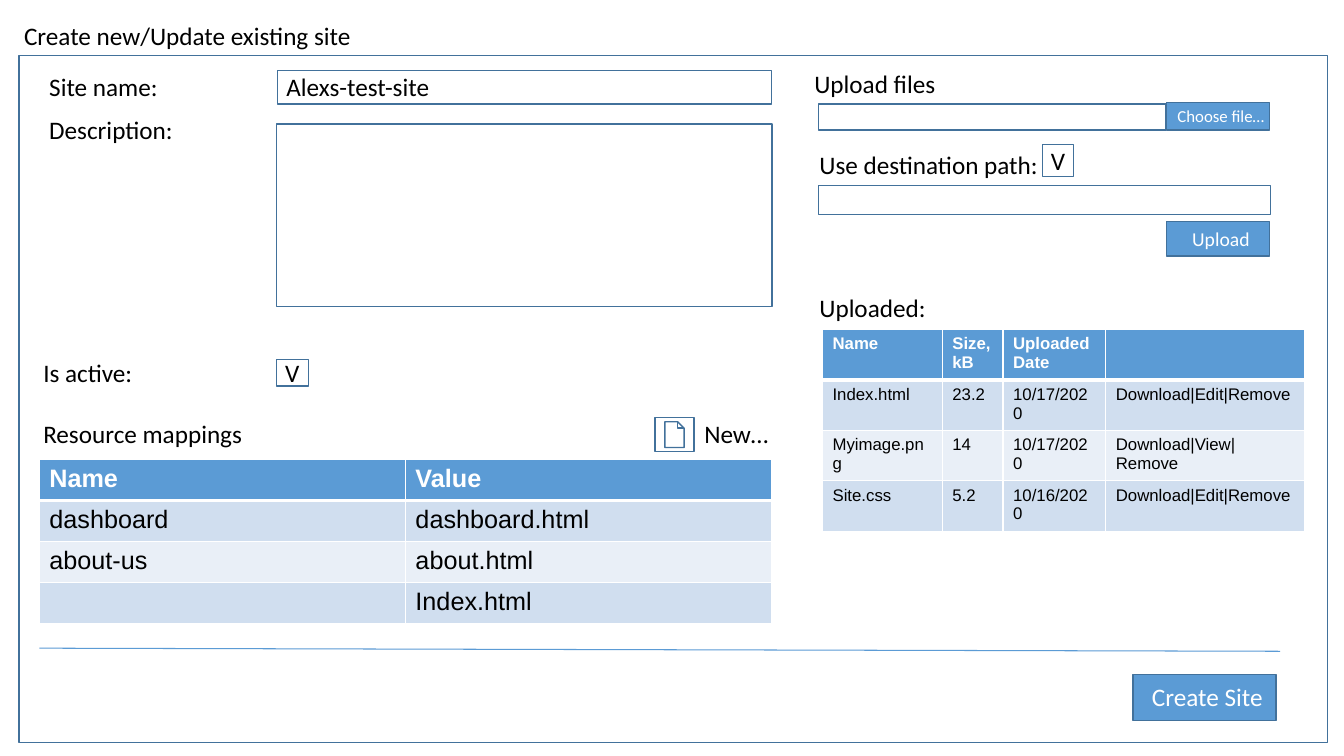
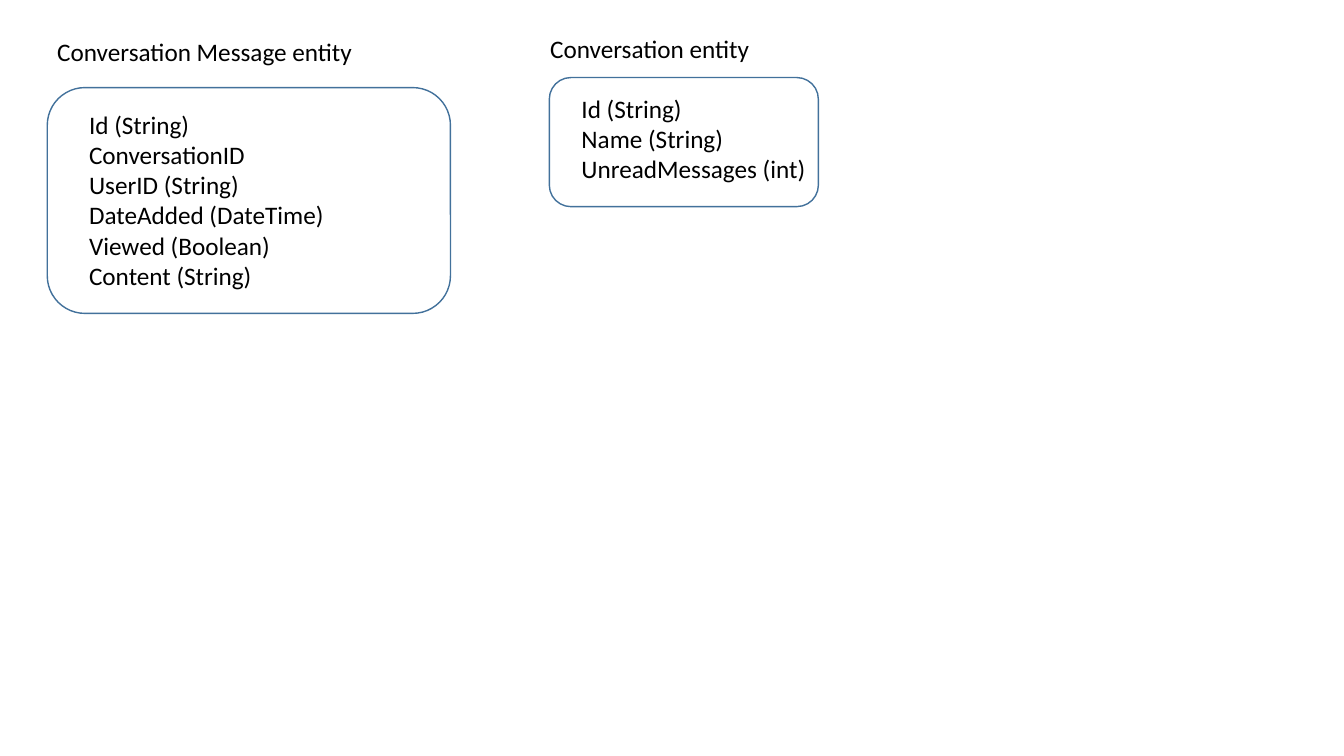
from pptx import Presentation
from pptx.dml.color import RGBColor
from pptx.enum.shapes import MSO_CONNECTOR, MSO_SHAPE
from pptx.enum.text import MSO_ANCHOR, PP_ALIGN
from pptx.util import Pt
from lxml.etree import SubElement
from pptx.oxml.ns import qn

ACCENT = "5B9BD5"
OUTLINE = "42719B"
BLACK = "000000"
WHITE = "FFFFFF"
BANDS = ("D0DEEF", "E9EFF7")
TITLE_ONLY, BLANK = 5, 6
LABEL_HEIGHT = 29


def color(hex_string):
    return RGBColor.from_string(hex_string)


def write(frame, text, size=18, font="Calibri", ink=BLACK, bold=False,
          align=PP_ALIGN.LEFT, anchor=MSO_ANCHOR.TOP, insets=(7.2, 3.6, 7.2, 3.6)):
    frame.word_wrap = True
    frame.vertical_anchor = anchor
    frame.margin_left, frame.margin_top, frame.margin_right, frame.margin_bottom = map(Pt, insets)
    for index, line in enumerate(text.split("\n")):
        paragraph = frame.add_paragraph() if index else frame.paragraphs[0]
        paragraph.alignment = align
        paragraph.font.size = Pt(size)
        run = paragraph.add_run()
        run.text = line
        run.font.size = Pt(size)
        run.font.name = font
        run.font.bold = bold
        run.font.color.rgb = color(ink)


def add_label(slide, left, top, width, text, **style):
    label = slide.shapes.add_textbox(Pt(left), Pt(top), Pt(width), Pt(LABEL_HEIGHT))
    write(label.text_frame, text, **style)


def add_box(slide, left, top, width, height, text="", fill=None,
            outline=MSO_SHAPE.RECTANGLE, **style):
    box = slide.shapes.add_shape(outline, Pt(left), Pt(top), Pt(width), Pt(height))
    box.shadow.inherit = False
    box.line.color.rgb = color(OUTLINE)
    box.line.width = Pt(1)
    if fill:
        box.fill.solid()
        box.fill.fore_color.rgb = color(fill)
    else:
        box.fill.background()
    if text:
        write(box.text_frame, text, anchor=MSO_ANCHOR.MIDDLE, **style)


def add_button(slide, left, top, width, height, text, size):
    add_box(slide, left, top, width, height, text, fill=ACCENT, size=size,
            ink=WHITE, align=PP_ALIGN.CENTER, insets=(4, 0, 0, 1))


def add_checkbox(slide, left, top, width, height):
    add_box(slide, left, top, width, height, "V", align=PP_ALIGN.CENTER, insets=(0, 0, 0, 0))


def underline_header(cell):
    properties = cell._tc.get_or_add_tcPr()
    border = SubElement(properties, qn("a:lnB"), w=str(Pt(3)))
    fill = SubElement(border, qn("a:solidFill"))
    SubElement(fill, qn("a:srgbClr"), val=WHITE)


def add_grid(slide, left, top, widths, row_height, rows, size):
    grid = slide.shapes.add_table(len(rows), len(widths), Pt(left), Pt(top),
                                  Pt(sum(widths)), Pt(row_height * len(rows))).table
    for column, width in zip(grid.columns, widths):
        column.width = Pt(width)
    for row_index, row in enumerate(rows):
        grid.rows[row_index].height = Pt(row_height)
        header = row_index == 0
        for column_index, text in enumerate(row):
            cell = grid.cell(row_index, column_index)
            if header:
                underline_header(cell)
            cell.fill.solid()
            cell.fill.fore_color.rgb = color(ACCENT if header else BANDS[(row_index - 1) % 2])
            write(cell.text_frame, text, size=size, font="Arial",
                  ink=WHITE if header else BLACK, bold=header)


def site_details(slide, left, top):
    field_left = left + 173.5
    add_label(slide, left + 4.3, top, 109, "Site name:")
    add_box(slide, field_left + 0.7, top + 3, 353, 23.8, "Alexs-test-site",
            insets=(6.5, 0, 7.2, 2))
    add_label(slide, left + 4.3, top + 30.6, 103, "Description:")
    add_box(slide, field_left, top + 41.1, 354.2, 130.3)
    add_label(slide, left, top + 204.5, 131, "Is active:")
    add_checkbox(slide, field_left, top + 209.5, 23, 18.7)


def resource_mappings(slide, left, top):
    add_label(slide, left, top, 434, "Resource mappings")
    add_box(slide, left + 444.2, top + 3, 27.6, 24.5, outline=MSO_SHAPE.ACTION_BUTTON_DOCUMENT)
    add_label(slide, left + 472.2, top, 64, "New…")
    add_grid(slide, left + 4.3, top + 33.1, (261.5, 261.5), 29.2, [
        ("Name", "Value"),
        ("dashboard", "dashboard.html"),
        ("about-us", "about.html"),
        ("", "Index.html"),
    ], size=18)


def file_upload(slide, left, top):
    field_left, button_left = left + 10.2, left + 258.8
    add_label(slide, left, top, 340, "Upload files")
    add_box(slide, field_left, top + 28.8, 248, 18.7)
    add_button(slide, button_left, top + 28, 73.4, 19.5, "Choose file…", 12)
    add_label(slide, left + 3.6, top + 57.6, 340, "Use destination path:")
    add_checkbox(slide, left + 170, top + 57.6, 22.3, 23)
    add_box(slide, field_left, top + 87.1, 322.6, 20.9)
    add_button(slide, button_left, top + 113, 73.4, 24.5, "Upload", 14)


def uploaded_files(slide, left, top):
    add_label(slide, left, top, 249, "Uploaded:")
    add_grid(slide, left + 9.3, top + 30.2, (85.6, 43.4, 73.4, 141.8), 36, [
        ("Name", "Size, kB", "Uploaded Date", ""),
        ("Index.html", "23.2", "10/17/2020", "Download|Edit|Remove"),
        ("Myimage.png", "14", "10/17/2020", "Download|View|Remove"),
        ("Site.css", "5.2", "10/16/2020", "Download|Edit|Remove"),
    ], size=12)


def form_footer(slide, left, top):
    divider = slide.shapes.add_connector(MSO_CONNECTOR.STRAIGHT, Pt(left), Pt(top),
                                         Pt(left + 886.3), Pt(top + 2.2))
    divider.line.color.rgb = color(ACCENT)
    divider.line.width = Pt(0.75)
    SubElement(divider.element.spPr, qn("a:effectLst"))
    add_button(slide, left + 781.2, top + 18.7, 102.2, 33.1, "Create Site", 18)


def site_form_slide(deck):
    slide = deck.slides.add_slide(deck.slide_layouts[TITLE_ONLY])
    title = slide.shapes.title
    title.left, title.top, title.width, title.height = map(Pt, (10, 10.8, 506, LABEL_HEIGHT))
    write(title.text_frame, "Create new/Update existing site")
    left, top = 13.7, 39.6
    add_box(slide, left, top, 934.6, 491)
    site_details(slide, left + 10.1, top + 7.9)
    resource_mappings(slide, left + 10.1, top + 255.6)
    file_upload(slide, left + 560.9, top + 5.8)
    uploaded_files(slide, left + 564.5, top + 165.6)
    form_footer(slide, left + 14.4, top + 423.4)


def entity(slide, left, top, width, height, name, fields, name_offset, insets):
    name_left, name_top = name_offset
    add_label(slide, left + name_left, top + name_top, 364, name)
    add_box(slide, left, top, width, height, "\n".join(fields),
            outline=MSO_SHAPE.ROUNDED_RECTANGLE, insets=insets)


def entities_slide(deck):
    slide = deck.slides.add_slide(deck.slide_layouts[BLANK])
    entity(slide, 33.8, 62.6, 288, 161.3, "Conversation Message entity",
           ("Id (String)", "ConversationID", "UserID (String)", "DateAdded (DateTime)",
            "Viewed (Boolean)", "Content (String)"), (0, -40.3), (22, 0, 0, 1))
    entity(slide, 392.4, 55.4, 192.2, 92.2, "Conversation entity",
           ("Id (String)", "Name (String)", "UnreadMessages (int)"), (-6.5, -35.2),
           (18.5, 0, 0, 5.5))


deck = Presentation()
deck.slide_width, deck.slide_height = Pt(960), Pt(540)
site_form_slide(deck)
entities_slide(deck)
deck.save("out.pptx")
